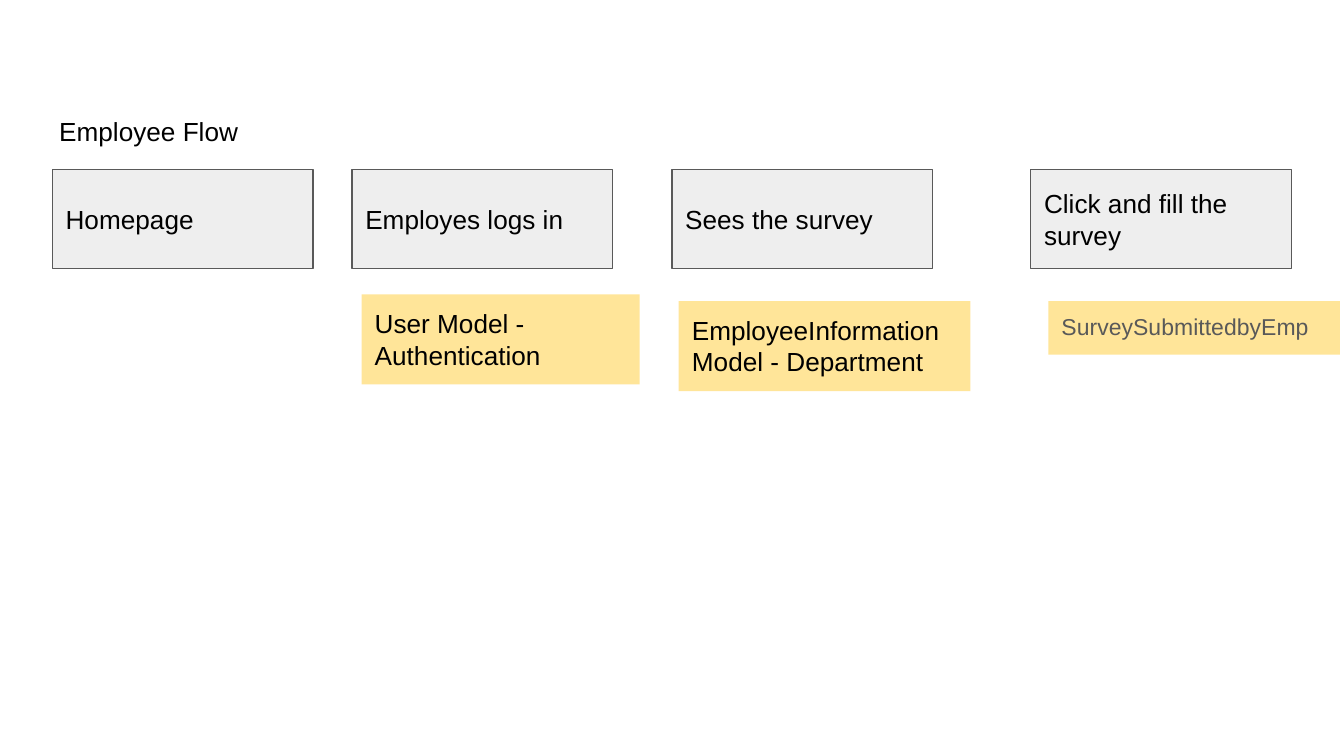
from dataclasses import dataclass

from pptx import Presentation
from pptx.dml.color import RGBColor
from pptx.enum.shapes import MSO_SHAPE
from pptx.enum.text import MSO_ANCHOR, MSO_AUTO_SIZE, PP_ALIGN
from pptx.shapes.autoshape import Shape
from pptx.slide import Slide
from pptx.util import Pt

RECTANGLE = MSO_SHAPE.RECTANGLE
TOP, MIDDLE = MSO_ANCHOR.TOP, MSO_ANCHOR.MIDDLE
NO_FIT, GROW = MSO_AUTO_SIZE.NONE, MSO_AUTO_SIZE.SHAPE_TO_FIT_TEXT
LEFT = PP_ALIGN.LEFT
TITLE_ONLY = 5


@dataclass(frozen=True)
class Theme:
    font: str = "Arial"
    text: RGBColor = RGBColor(0x00, 0x00, 0x00)
    grey: RGBColor = RGBColor(0x59, 0x59, 0x59)
    step_fill: RGBColor = RGBColor(0xEE, 0xEE, 0xEE)
    note_fill: RGBColor = RGBColor(0xFF, 0xE5, 0x99)
    body_size: float = 14
    small_size: float = 12.3
    inset: float = 7.2
    outline: float = 0.75


@dataclass(frozen=True)
class Step:
    label: str
    left: float


@dataclass(frozen=True)
class Note:
    label: str
    left: float
    top: float
    width: float
    height: float = 48.24
    small: bool = False


THEME = Theme()
STEP_TOP, STEP_WIDTH, STEP_HEIGHT = 90.72, 139.68, 53.28

STEPS = [
    Step("Homepage", 28.08),
    Step("Employes logs in", 188.64),
    Step("Sees the survey", 360),
    Step("Click and fill the survey", 552.24),
]

NOTES = [
    Note("User Model - Authentication", 193.68, 157.68, 149.04),
    Note("EmployeeInformation Model - Department", 363.6, 161.28, 156.24),
    Note("SurveySubmittedbyEmp", 561.6, 161.28, 156.24, height=28.8, small=True),
]


def write_text(box: Shape, label: str, anchor: MSO_ANCHOR, fit: MSO_AUTO_SIZE,
               size: float = THEME.body_size, color: RGBColor = THEME.text) -> None:
    frame = box.text_frame
    frame.text = label
    frame.word_wrap = True
    frame.auto_size = fit
    frame.vertical_anchor = anchor
    frame.margin_left = frame.margin_right = Pt(THEME.inset)
    frame.margin_top = frame.margin_bottom = Pt(THEME.inset)
    para = frame.paragraphs[0]
    para.alignment = LEFT
    font = para.runs[0].font
    font.name = THEME.font
    font.size = Pt(size)
    font.color.rgb = color


def add_box(page: Slide, left: float, top: float, width: float, height: float,
            fill: RGBColor) -> Shape:
    """Add a filled rectangle with neither shadow nor outline."""
    box = page.shapes.add_shape(RECTANGLE, Pt(left), Pt(top), Pt(width), Pt(height))
    box.shadow.inherit = False
    box.fill.solid()
    box.fill.fore_color.rgb = fill
    box.line.fill.background()
    return box


def add_step(page: Slide, step: Step) -> None:
    box = add_box(page, step.left, STEP_TOP, STEP_WIDTH, STEP_HEIGHT, THEME.step_fill)
    box.line.color.rgb = THEME.grey
    box.line.width = Pt(THEME.outline)
    write_text(box, step.label, MIDDLE, NO_FIT)


def add_note(page: Slide, note: Note) -> None:
    box = add_box(page, note.left, note.top, note.width, note.height, THEME.note_fill)
    if note.small:
        write_text(box, note.label, TOP, GROW, THEME.small_size, THEME.grey)
        box.text_frame.paragraphs[0].line_spacing = 0.95
    else:
        write_text(box, note.label, TOP, GROW)


def set_title(page: Slide, label: str) -> None:
    title = page.shapes.title
    title.left, title.top = Pt(24.48), Pt(54.72)
    title.width, title.height = Pt(384.48), Pt(31.68)
    write_text(title, label, TOP, GROW)


def main() -> None:
    deck = Presentation()
    deck.slide_width, deck.slide_height = Pt(720), Pt(405)
    page = deck.slides.add_slide(deck.slide_layouts[TITLE_ONLY])
    set_title(page, "Employee Flow")
    for step in STEPS:
        add_step(page, step)
    for note in NOTES:
        add_note(page, note)
    deck.save("out.pptx")


if __name__ == "__main__":
    main()
